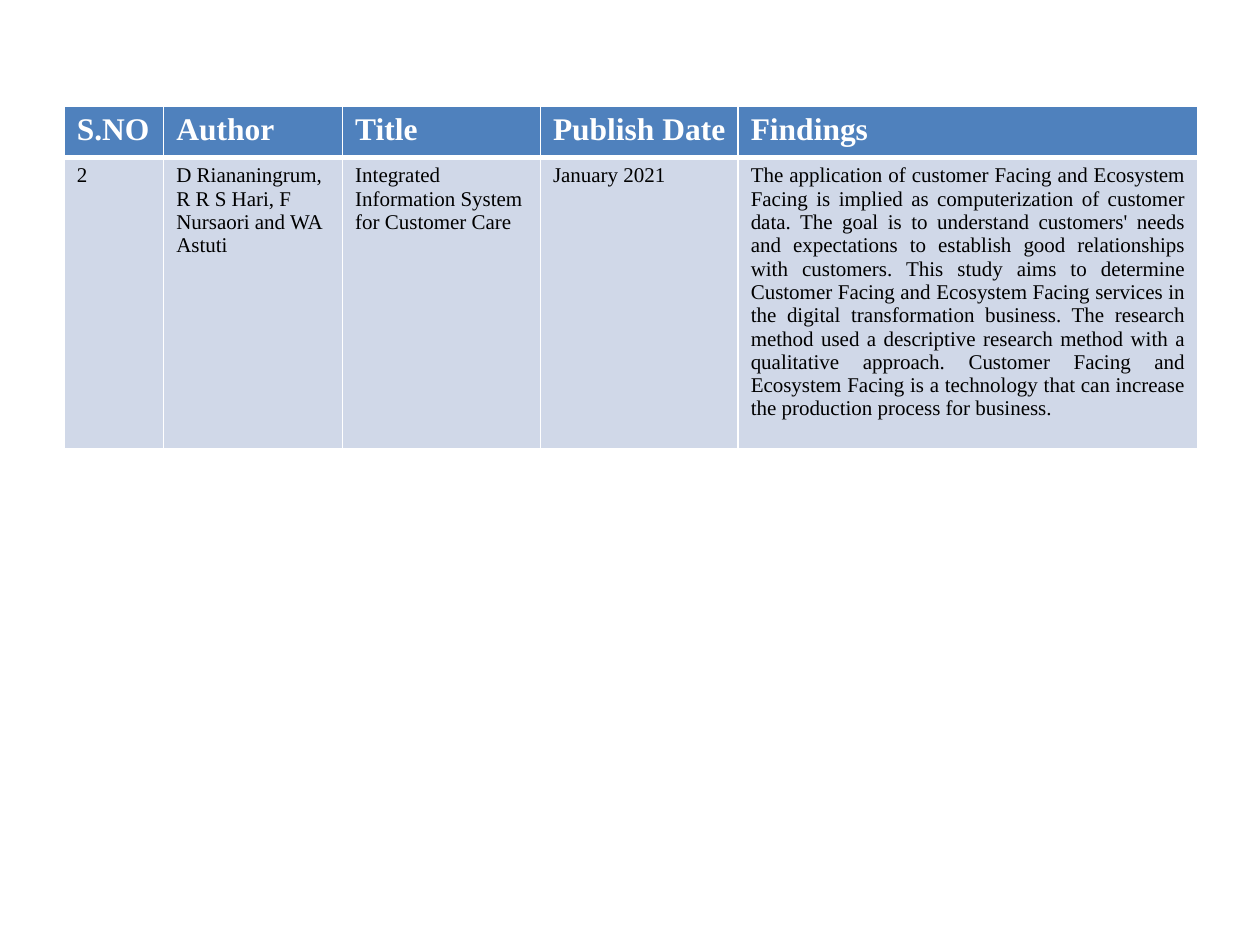
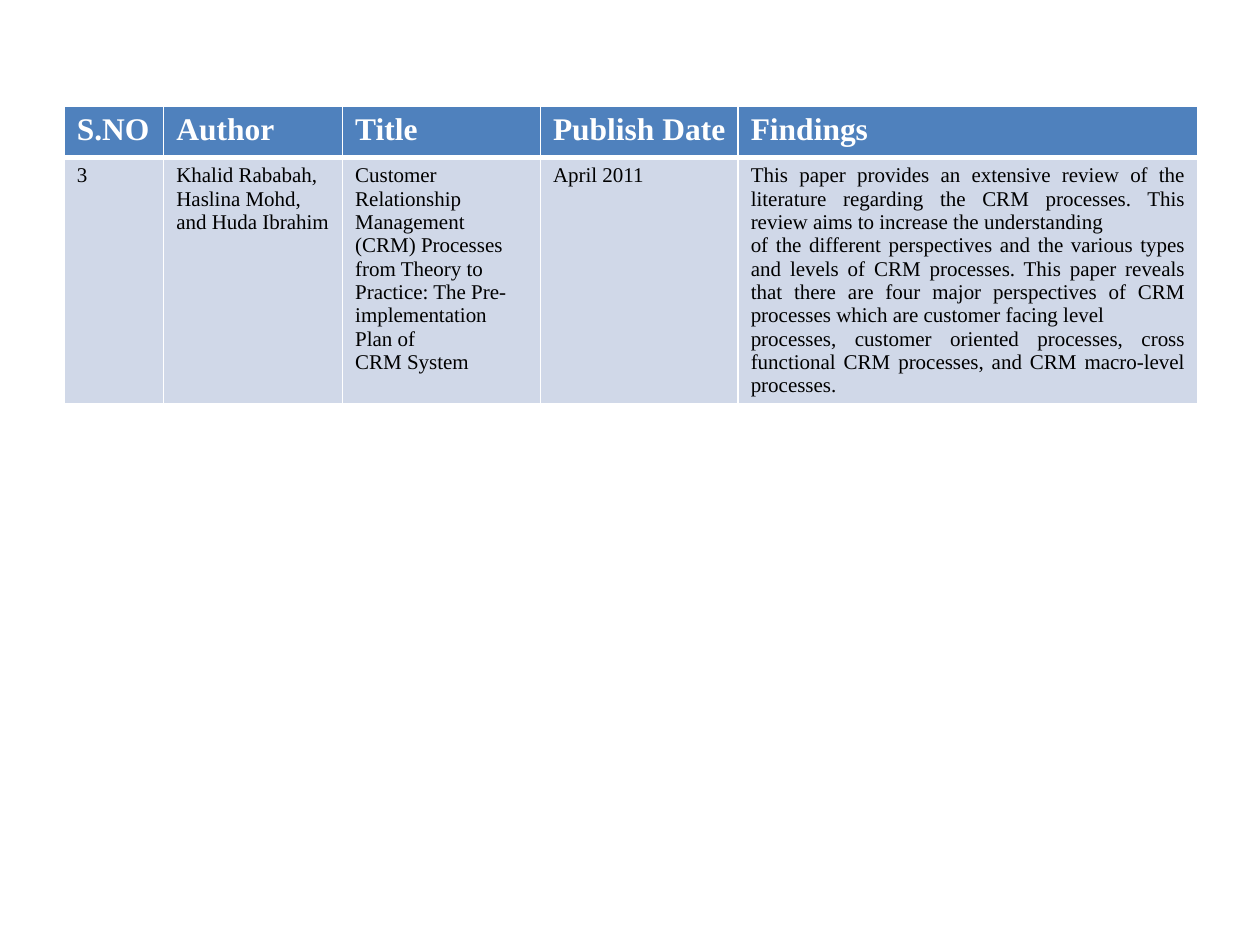
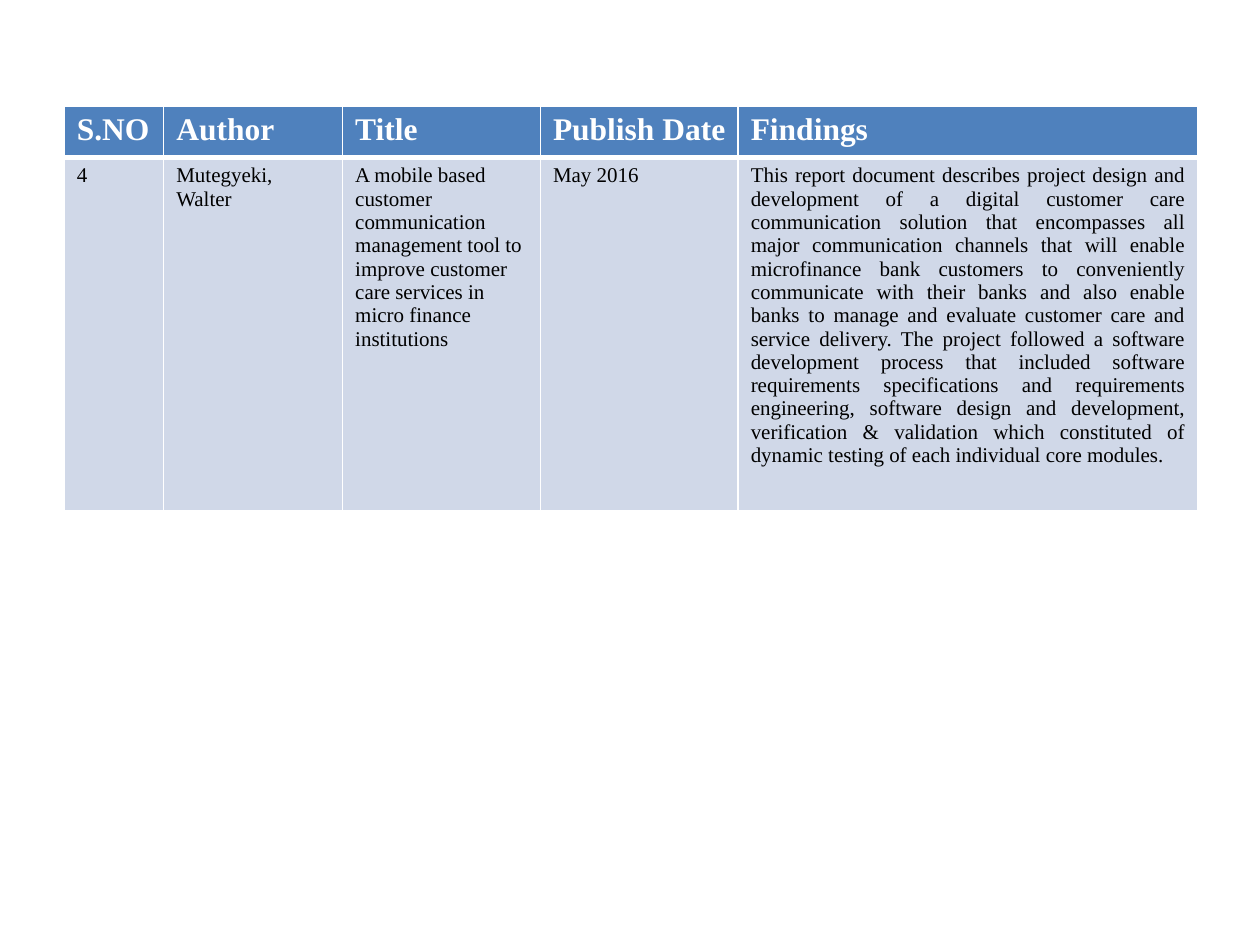
from pptx import Presentation as Deck
from pptx.dml.color import RGBColor as Rgb
from pptx.enum.text import PP_ALIGN as Align
from pptx.oxml.ns import qn
from pptx.util import Inches, Pt
from lxml.etree import SubElement as Sub

HEADS = ["S.NO", "Author", "Title", "Publish Date", "Findings"]
COLS = [0.079, 0.142, 0.157, 0.157, 0.365]  # shares of the slide width

# Each paper: share of the slide height for its row, then one value per column.
# A list in a column holds several paragraphs.
PAPERS = [
    (0.308, ["2", "D Riananingrum, R R S Hari, F Nursaori and WA Astuti",
             "Integrated Information System for Customer Care",
             "January 2021",
             "The application of customer Facing and Ecosystem Facing is "
             "implied as computerization of customer data. The goal is to "
             "understand customers' needs and expectations to establish good "
             "relationships with customers. This study aims to determine "
             "Customer Facing and Ecosystem Facing services in the digital "
             "transformation business. The research method used a descriptive "
             "research method with a qualitative approach. Customer Facing "
             "and Ecosystem Facing is a technology that can increase the "
             "production process for business."]),
    (0.259, ["3", "Khalid Rababah, Haslina Mohd, and Huda Ibrahim",
             ["Customer Relationship Management (CRM) Processes",
              "from Theory to Practice: The Pre-implementation Plan of",
              "CRM System"],
             "April 2011",
             ["This paper provides an extensive review of the literature "
              "regarding the CRM processes. This review aims to increase the "
              "understanding",
              "of the different perspectives and the various types and levels "
              "of CRM processes. This paper reveals that there are four major "
              "perspectives of CRM processes which are customer facing level",
              "processes, customer oriented processes, cross functional CRM "
              "processes, and CRM macro-level processes."]]),
    (0.373, ["4", "Mutegyeki, Walter",
             "A mobile based customer communication management tool to "
             "improve customer care services in micro finance institutions",
             "May 2016",
             "This report document describes project design and development "
             "of a digital customer care communication solution that "
             "encompasses all major communication channels that will enable "
             "microfinance bank customers to conveniently communicate with "
             "their banks and also enable banks to manage and evaluate "
             "customer care and service delivery. The project followed a "
             "software development process that included software "
             "requirements specifications and requirements engineering, "
             "software design and development, verification & validation "
             "which constituted of dynamic testing of each individual core "
             "modules."]),
]


def tint(code):
    """Turn a hex string into a colour."""
    return Rgb.from_string(code)


def write(frame, text, size=12, color="000000", bold=False, align=Align.LEFT,
          font="Times New Roman"):
    """Fill a text frame with one paragraph, or with a list of them."""
    lines = text if isinstance(text, list) else [text]
    for num, line in enumerate(lines):
        para = frame.paragraphs[0] if num == 0 else frame.add_paragraph()
        para.alignment = align
        run = para.add_run()
        run.text = line
        run.font.name, run.font.size = font, Pt(size)
        run.font.bold, run.font.color.rgb = bold, tint(color)


class Board:
    """Holds the review's style and the current slide."""

    head, body, rule = "4F81BD", "D0D8E8", "FFFFFF"
    left, top, band = 0.051, 0.112, 0.055

    def __init__(self):
        """Start a deck of 10 by 7.5 inches."""
        self.deck = Deck()
        self.deck.slide_width = Inches(10)
        self.deck.slide_height = Inches(7.5)
        self.slide = None

    def add(self):
        """Add a blank slide and make it current."""
        self.slide = self.deck.slides.add_slide(self.deck.slide_layouts[6])

    def wide(self, part):
        """Give a share of the slide width."""
        return round(self.deck.slide_width * part)

    def high(self, part):
        """Give a share of the slide height."""
        return round(self.deck.slide_height * part)

    def edge(self, cell, **sides):
        """Rule the cell's sides, given as L, R, T, B in points."""
        props = cell._tc.get_or_add_tcPr()
        for side, width in sides.items():
            line = Sub(props, qn("a:ln" + side), w=str(Pt(width)))
            fill = Sub(line, qn("a:solidFill"))
            Sub(fill, qn("a:srgbClr"), val=self.rule)

    def cell(self, cell, text, fill, above=1, below=1, **look):
        """Rule, fill and write one cell."""
        self.edge(cell, L=1, R=1, T=above, B=below)
        cell.fill.solid()
        cell.fill.fore_color.rgb = tint(fill)
        write(cell.text_frame, text, **look)

    def table(self, paper, depth):
        """Draw the heading row and the row of one paper."""
        grid = self.slide.shapes.add_table(
            2, len(HEADS), self.wide(self.left), self.high(self.top),
            self.wide(sum(COLS)), self.high(self.band + depth)).table
        grid.horz_banding = False
        for row, part in zip(grid.rows, (self.band, depth)):
            row.height = self.high(part)
        for num, (part, name, text) in enumerate(zip(COLS, HEADS, paper)):
            grid.columns[num].width = self.wide(part)
            self.cell(grid.cell(0, num), name, self.head, below=3,
                      size=18, color="FFFFFF", bold=True)
            align = Align.JUSTIFY if name == "Findings" else Align.LEFT
            self.cell(grid.cell(1, num), text, self.body, above=3, align=align)


board = Board()
for depth, paper in PAPERS:
    board.add()
    board.table(paper, depth)
board.deck.save("out.pptx")
